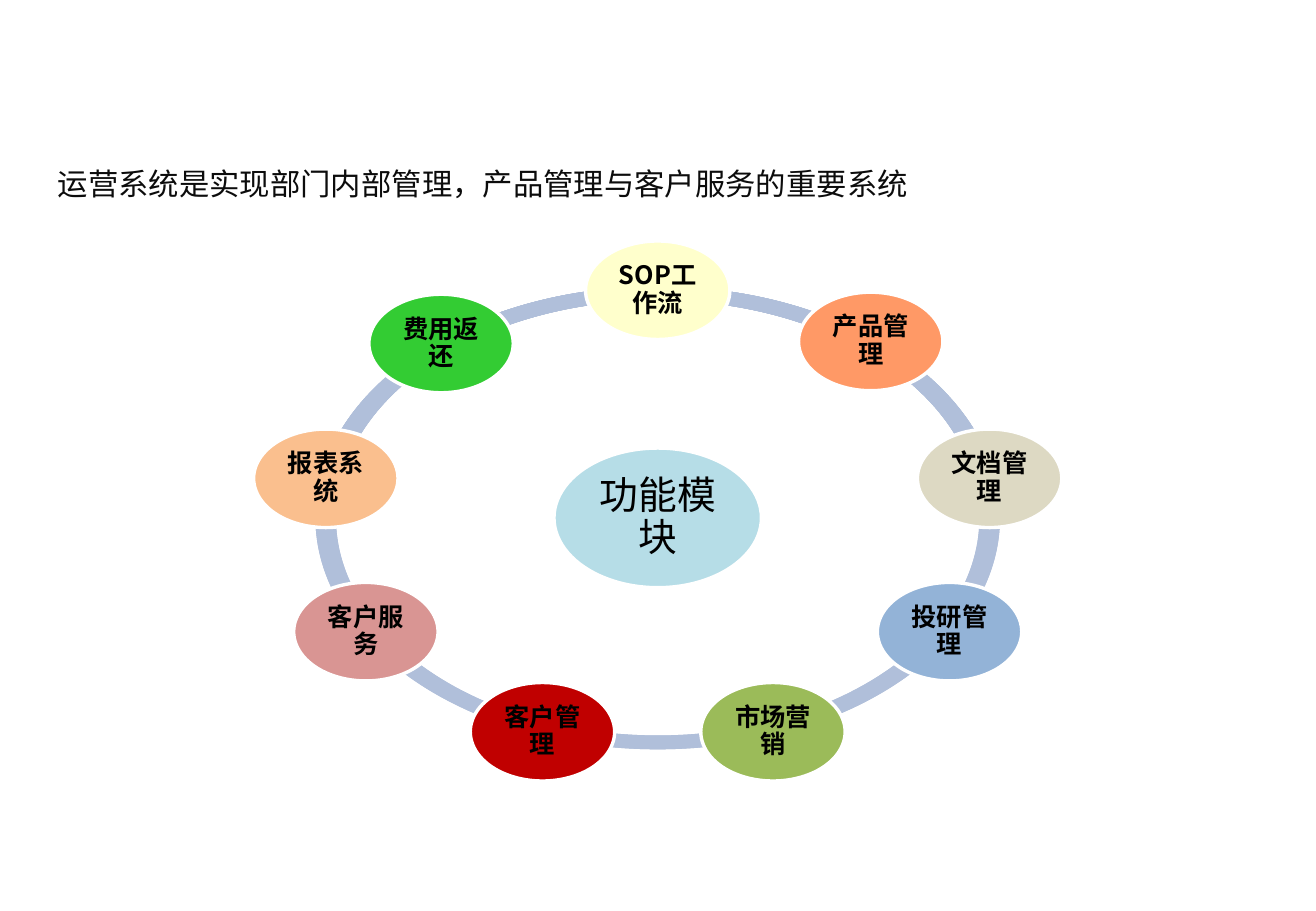
import math
from lxml import etree
from pptx import Presentation
from pptx.dml.color import RGBColor
from pptx.enum import shapes, text
from pptx.oxml import ns
from pptx.util import Cm, Pt

FONT = "Noto Sans CJK SC"
BLACK = RGBColor(0x00, 0x00, 0x00)
HEADING_INK = RGBColor(0x0C, 0x0C, 0x0C)
WHITE = RGBColor(0xFF, 0xFF, 0xFF)
RING_BLUE = RGBColor(0xB0, 0xBF, 0xDA)
HUB_BLUE = RGBColor(0xB6, 0xDD, 0xE7)
CREAM = RGBColor(0xFF, 0xFF, 0xCC)
ORANGE = RGBColor(0xFF, 0x99, 0x66)
SAND = RGBColor(0xDD, 0xD9, 0xC3)
BLUE = RGBColor(0x93, 0xB3, 0xD7)
OLIVE = RGBColor(0x9B, 0xBB, 0x59)
RED = RGBColor(0xC0, 0x00, 0x00)
ROSE = RGBColor(0xD9, 0x95, 0x93)
PEACH = RGBColor(0xFA, 0xBF, 0x8E)
GREEN = RGBColor(0x33, 0xCC, 0x33)

MODULES = [
    ("SOP工作流", CREAM, 0),
    ("产品管理", ORANGE, 39.2),
    ("文档管理", SAND, 80),
    ("投研管理", BLUE, 120),
    ("市场营销", OLIVE, 160),
    ("客户管理", RED, 200),
    ("客户服务", ROSE, 240),
    ("报表系统", PEACH, 280),
    ("费用返还", GREEN, 320),
]
RING_ARCS = [(-40, 40), (-80, 80), (-120, 120), (-160, 160), (160, 200),
             (120, 240), (-80, 80), (-39.2, 39.2), (-0.2, 0)]
CENTER = (13.76, 10.83)
ORBIT = (7.05, 4.76)
RING_OUTER = (7.16, 4.84)
RING_INNER = (6.73, 4.55)


def point_on(radii, degrees, origin=CENTER):
    angle = math.radians(degrees)
    return (origin[0] + radii[0] * math.sin(angle),
            origin[1] - radii[1] * math.cos(angle))


def add_step(outline, kind, points):
    step = etree.SubElement(outline, ns.qn("a:" + kind))
    for x, y in points:
        etree.SubElement(step, ns.qn("a:pt"), x=str(Cm(x)), y=str(Cm(y)))


def add_arc(outline, radii, start, end):
    low, high = sorted((start, end))
    stops = [low, *(a for a in range(-90, 271, 90) if low < a < high), high]
    if start > end:
        stops.reverse()
    for a, b in zip(stops, stops[1:]):
        pull = 4 / 3 * math.tan(math.radians(b - a) / 4)
        (ax, ay), (bx, by) = (point_on(radii, d, RING_OUTER) for d in (a, b))
        (ux, uy), (vx, vy) = (point_on(radii, d + 90, (0, 0)) for d in (a, b))
        add_step(outline, "cubicBezTo", [(ax + pull * ux, ay + pull * uy),
                                         (bx - pull * vx, by - pull * vy),
                                         (bx, by)])


def add_ring_arc(slide, start, end):
    left, right = (Cm(CENTER[0] + side * RING_OUTER[0]) for side in (-1, 1))
    top, bottom = (Cm(CENTER[1] + side * RING_OUTER[1]) for side in (-1, 1))
    builder = slide.shapes.build_freeform(left, top)
    builder.add_line_segments([(right, top), (right, bottom), (left, bottom)])
    band = builder.convert_to_shape()
    outline = band._element.find(".//" + ns.qn("a:path"))
    for step in list(outline):
        outline.remove(step)
    add_step(outline, "moveTo", [point_on(RING_INNER, start, RING_OUTER)])
    add_arc(outline, RING_INNER, start, end)
    add_step(outline, "lnTo", [point_on(RING_OUTER, end, RING_OUTER)])
    add_arc(outline, RING_OUTER, end, start)
    add_step(outline, "close", [])
    band.shadow.inherit = False
    band.fill.solid()
    band.fill.fore_color.rgb = RING_BLUE
    band.line.fill.background()


def add_words(paragraph, words, size, color, bold=False):
    run = paragraph.add_run()
    run.text = words
    run.font.name = FONT
    run.font.size = Pt(size)
    run.font.bold = bold
    run.font.color.rgb = color
    east_asian = run.font._element.makeelement(ns.qn("a:ea"), {"typeface": FONT})
    run.font._element.find(ns.qn("a:latin")).addnext(east_asian)


def add_bubble(slide, center, size, label, fill, font_size, bold, inset, after):
    width, height = size
    bubble = slide.shapes.add_shape(
        shapes.MSO_SHAPE.OVAL, Cm(center[0] - width / 2),
        Cm(center[1] - height / 2), Cm(width), Cm(height))
    bubble.shadow.inherit = False
    bubble.fill.solid()
    bubble.fill.fore_color.rgb = fill
    bubble.line.color.rgb = WHITE
    bubble.line.width = Pt(2)
    frame = bubble.text_frame
    frame.word_wrap = True
    frame.vertical_anchor = text.MSO_ANCHOR.MIDDLE
    frame.margin_left = frame.margin_right = Cm(inset)
    frame.margin_top = frame.margin_bottom = Cm(inset)
    paragraph = frame.paragraphs[0]
    paragraph.alignment = text.PP_ALIGN.CENTER
    paragraph.line_spacing = 0.9
    paragraph.space_after = Pt(after)
    add_words(paragraph, label, font_size, BLACK, bold)


def add_heading(slide, words):
    heading = slide.shapes.add_textbox(Cm(0.96), Cm(3.33), Cm(24.82), Cm(1.02))
    heading.text_frame.word_wrap = True
    add_words(heading.text_frame.paragraphs[0], words, 18, HEADING_INK)


def main():
    deck = Presentation()
    deck.slide_width, deck.slide_height = Cm(27.53), Cm(19.05)
    slide = deck.slides.add_slide(deck.slide_layouts[6])
    for start, end in RING_ARCS:
        add_ring_arc(slide, start, end)
    add_bubble(slide, CENTER, (4.34, 2.92), "功能模块", HUB_BLUE, 23, False, 0.08, 10)
    for label, fill, angle in MODULES:
        add_bubble(slide, point_on(ORBIT, angle), (3.02, 2.06),
                   label, fill, 15, True, 0.05, 6.5)
    add_heading(slide, "运营系统是实现部门内部管理，产品管理与客户服务的重要系统")
    deck.save("out.pptx")


if __name__ == "__main__":
    main()
